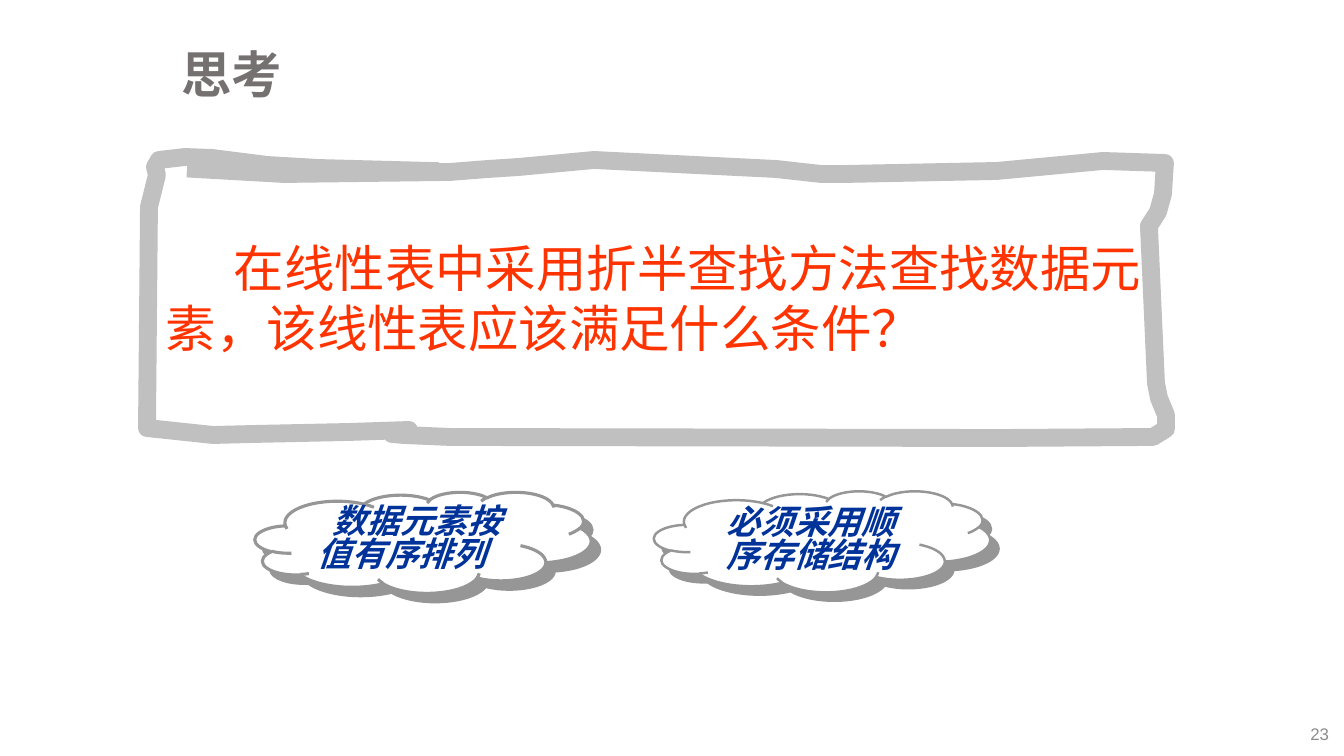
import lxml.etree
import pptx
import pptx.dml.color
import pptx.enum.shapes
import pptx.enum.text
import pptx.oxml.ns
import pptx.util

PX = 914400 / 100.8
RGB = pptx.dml.color.RGBColor
WHITE = RGB(0xFF, 0xFF, 0xFF)
TITLE_GREY = RGB(0x76, 0x71, 0x71)
NUMBER_GREY = RGB(0x8C, 0x8C, 0x8C)
FRAME_GREY = RGB(0xC0, 0xC0, 0xC0)
CLOUD_GREY = RGB(0x96, 0x96, 0x96)
QUESTION_RED = RGB(0xFF, 0x33, 0x00)
ANSWER_BLUE = RGB(0x00, 0x33, 0x99)
CJK = "Noto Sans CJK SC"
ALIGN = pptx.enum.text.PP_ALIGN
ANCHOR = pptx.enum.text.MSO_ANCHOR
qn = pptx.oxml.ns.qn

FRAME_POINTS = [
    (49, 12), (137, 17), (303, 15), (341, 12), (372, 10), (447, 3),
    (629, 12), (674, 17), (698, 17), (850, 14), (956, 4), (1018, 6),
    (1016, 37), (1011, 55), (1002, 69), (1009, 226), (1012, 241),
    (1019, 258), (1019, 272), (1006, 280), (853, 281), (303, 280),
    (257, 278), (245, 277), (262, 273), (202, 275), (106, 277), (66, 278),
    (0, 271), (2, 50), (10, 18), (8, 10), (12, 3), (38, 0), (65, 1),
    (120, 8), (171, 11), (283, 14),
]


def px(*lengths):
    """Turn pixel lengths into EMU."""
    return [pptx.util.Emu(round(n * PX)) for n in lengths]


def style(p, size, color, font=CJK, bold=False, italic=False):
    """Format every run of a paragraph."""
    for r in p.runs:
        r.font.size = pptx.util.Pt(size)
        r.font.name = font
        r.font.bold = bold
        r.font.italic = italic
        r.font.color.rgb = color
        ea = lxml.etree.SubElement(r._r.get_or_add_rPr(), qn("a:ea"))
        ea.set("typeface", CJK)


def indent(p, length):
    """Indent the first line of a paragraph by a pixel length."""
    pPr = p._p.get_or_add_pPr()
    pPr.set("marL", "0")
    pPr.set("indent", str(px(length)[0]))


def add_text(slide, box, text):
    """Add a wrapping text box and return its text frame."""
    tf = slide.shapes.add_textbox(*px(*box)).text_frame
    tf.word_wrap = True
    tf.text = text
    return tf


def add_title(slide, box, text):
    """Move and format the title placeholder."""
    s = slide.shapes.title
    s.left, s.top, s.width, s.height = px(*box)
    tf = s.text_frame
    tf.text = text
    tf.vertical_anchor = ANCHOR.MIDDLE
    tf.auto_size = pptx.enum.text.MSO_AUTO_SIZE.NONE
    p = tf.paragraphs[0]
    p.alignment = ALIGN.LEFT
    p.line_spacing = 0.9
    style(p, 36, TITLE_GREY, "Arial", bold=True)


def add_question(slide, box, text):
    """Draw the brush-stroke frame with the question inside."""
    x, y, w, h = box
    builder = slide.shapes.build_freeform(*FRAME_POINTS[0], scale=PX)
    builder.add_line_segments(FRAME_POINTS[1:], close=False)
    s = builder.convert_to_shape(*px(x, y))
    s.shadow.inherit = False
    s.fill.background()
    s.line.color.rgb = FRAME_GREY
    s.line.width = pptx.util.Pt(12.75)
    ln = s._element.spPr.find(qn("a:ln"))
    ln.set("cap", "sq")
    lxml.etree.SubElement(ln, qn("a:round"))
    p = add_text(slide, (x + 9, y + 75, w, 132), text).paragraphs[0]
    indent(p, 68)
    style(p, 36, QUESTION_RED)


def add_answer(slide, box, text, text_box, first_indent, line_width):
    """Draw a shadowed cloud with its answer, placed relative to the box."""
    x, y, w, h = box
    s = slide.shapes.add_shape(pptx.enum.shapes.MSO_SHAPE.CLOUD, *px(*box))
    s.fill.solid()
    s.fill.fore_color.rgb = WHITE
    s.line.color.rgb = CLOUD_GREY
    s.line.width = pptx.util.Pt(line_width)
    s.shadow.inherit = False
    effects = s._element.spPr.find(qn("a:effectLst"))
    shadow = lxml.etree.SubElement(effects, qn("a:outerShdw"))
    for key, value in (("blurRad", 0), ("dist", pptx.util.Pt(8.5)),
                       ("dir", 2700000), ("algn", "ctr"), ("rotWithShape", 0)):
        shadow.set(key, str(value))
    lxml.etree.SubElement(shadow, qn("a:srgbClr")).set("val", str(CLOUD_GREY))
    dx, dy, tw, th = text_box
    tf = add_text(slide, (x + dx, y + dy, tw, th), text)
    indent(tf.paragraphs[0], first_indent)
    for p in tf.paragraphs:
        p.line_spacing = 0.8
        style(p, 24, ANSWER_BLUE, bold=True, italic=True)


def add_page_number(slide, box, text):
    """Add the page number at the right of its box."""
    tf = add_text(slide, box, text)
    tf.vertical_anchor = ANCHOR.MIDDLE
    p = tf.paragraphs[0]
    p.alignment = ALIGN.RIGHT
    style(p, 12, NUMBER_GREY, "Arial")


def main():
    """Build and save the slide."""
    prs = pptx.Presentation()
    prs.slide_width, prs.slide_height = px(1344, 756)
    slide = prs.slides.add_slide(prs.slide_layouts[5])
    add_title(slide, (171, 34, 1134, 86), "思考")
    add_page_number(slide, (1037, 718, 302, 31), "23")
    add_question(slide, (147, 157, 1019, 281),
                 "在线性表中采用折半查找方法查找数据元素，该线性表应该满足什么条件？")
    add_answer(slide, (255, 492, 336, 101), "数据元素按\n值有序排列",
               (53, 11, 277, 78), 15, 2.25)
    add_answer(slide, (654, 491, 336, 101), "必须采用顺\n序存储结构",
               (63, 13, 247, 78), 0, 1.75)
    prs.save("out.pptx")


main()
